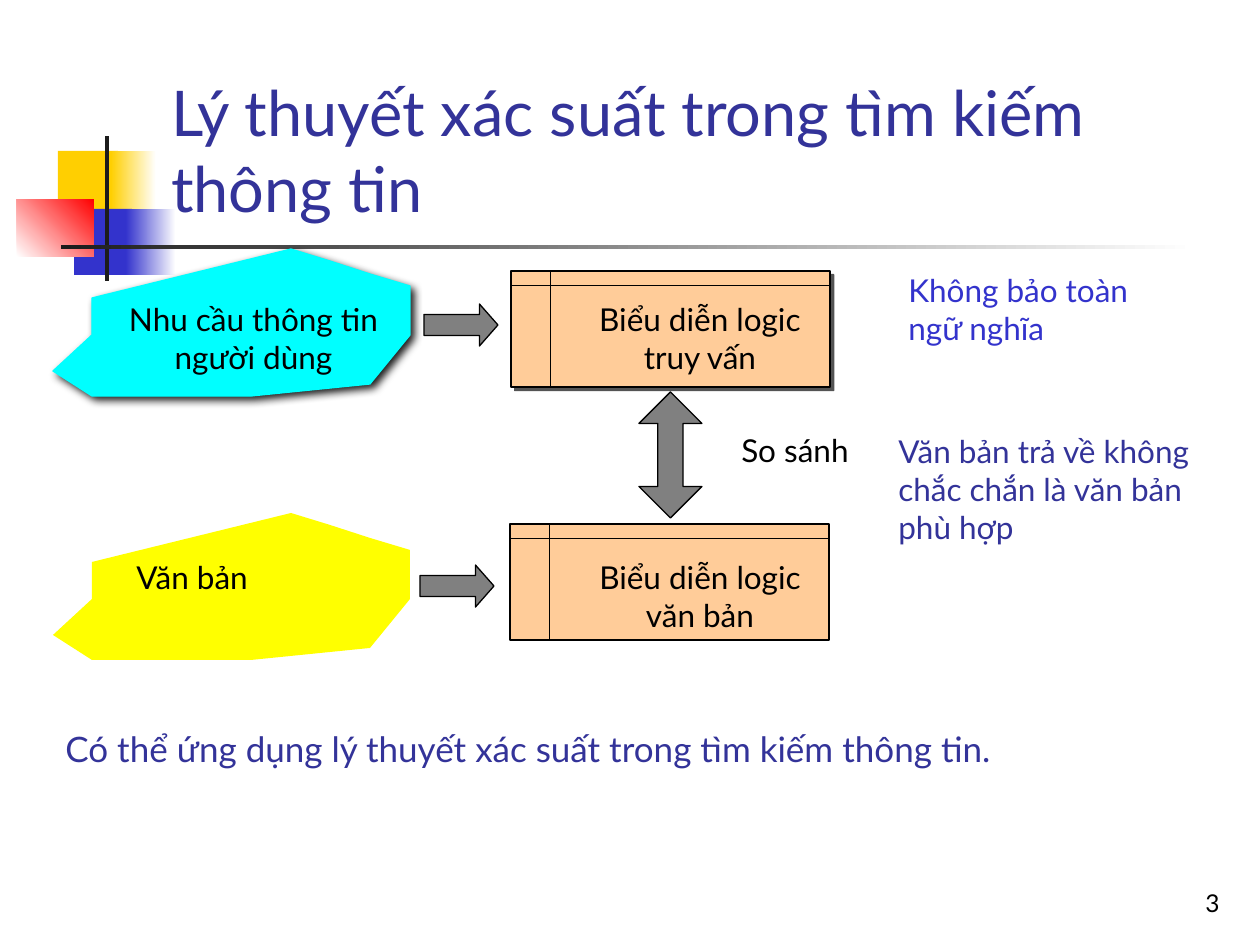
from lxml.etree import SubElement
from pptx import Presentation
from pptx.dml.color import RGBColor
from pptx.enum.shapes import MSO_SHAPE as SHAPE
from pptx.enum.text import MSO_ANCHOR as ANCHOR, PP_ALIGN as ALIGN
from pptx.oxml.ns import qn
from pptx.util import Pt

SCALE = 914400 / 126
WHITE = RGBColor(0xFF, 0xFF, 0xFF)
BLACK = RGBColor(0, 0, 0)
DARK = RGBColor(0x1C, 0x1C, 0x1C)
GRAY = RGBColor(0x80, 0x80, 0x80)
GOLD = RGBColor(0xFF, 0xCF, 0x01)
BLUE = RGBColor(0x33, 0x33, 0xCC)
NAVY = RGBColor(0x33, 0x33, 0x99)
RED = RGBColor(0xFF, 0, 0)
CYAN = RGBColor(0, 0xFF, 0xFF)
YELLOW = RGBColor(0xFF, 0xFF, 0)
PEACH = RGBColor(0xFF, 0xCC, 0x99)

DECOR = [
    ((58, 151, 60, 66), (GOLD,), 0),
    ((111, 151, 45, 66), (GOLD, WHITE), 0),
    ((74, 209, 58, 66), (BLUE,), 0),
    ((126, 209, 50, 66), (BLUE, WHITE), 0),
    ((17, 199, 77, 58), (WHITE, RED), 45),
    ((105, 136, 4, 145), (DARK,), 0),
    ((61, 245, 1134, 4), (DARK, WHITE), 0),
]
POINTS = [
    (291, 0), (92, 49), (92, 86), (53, 122), (92, 147), (171, 147),
    (251, 147), (370, 135), (410, 86), (410, 37), (370, 25), (330, 12),
]
CLOUDS = [
    (249, CYAN, CYAN, (DARK, 100, 5, 2.8)),
    (513, YELLOW, None, None),
]
STORE, RIGHT, BOTH = SHAPE.FLOWCHART_INTERNAL_STORAGE, SHAPE.RIGHT_ARROW, SHAPE.UP_DOWN_ARROW
NODES = [
    (STORE, (510, 524, 319, 116), PEACH, (), None),
    (STORE, (511, 271, 319, 116), PEACH, (), (DARK, 75, 0, 3)),
    (RIGHT, (424, 304, 74, 42), GRAY, (0.5, 0.44), None),
    (RIGHT, (420, 565, 74, 42), GRAY, (0.5, 0.44), None),
    (BOTH, (639, 392, 63, 126), GRAY, (0.5, 0.4), None),
]
LEFT, MID, END, JUST = ALIGN.LEFT, ALIGN.CENTER, ALIGN.RIGHT, ALIGN.JUSTIFY
TOP, LOW = ANCHOR.TOP, ANCHOR.BOTTOM
TEXTS = [
    ("Lý thuyết xác suất trong tìm kiếm thông tin", (159, 29, 1074, 202), 36, NAVY, LEFT, LOW),
    ("Văn bản trả về không chắc chắn là văn bản phù hợp", (886, 426, 341, 127), 18, NAVY, LEFT, TOP),
    ("Không bảo toàn ngữ nghĩa", (896, 265, 300, 89), 18, BLUE, LEFT, TOP),
    ("Nhu cầu thông tin người dùng", (105, 294, 297, 88), 18, BLACK, MID, TOP),
    ("Văn bản", (124, 552, 238, 50), 18, BLACK, LEFT, TOP),
    ("Biểu diễn logic truy vấn", (581, 294, 238, 88), 18, BLACK, MID, TOP),
    ("Biểu diễn logic văn bản", (571, 552, 258, 88), 18, BLACK, MID, TOP),
    ("So sánh", (702, 425, 186, 50), 18, BLACK, MID, TOP),
    ("Có thể ứng dụng lý thuyết xác suất trong tìm kiếm thông tin.", (53, 721, 1182, 189), 20, NAVY, JUST, TOP),
    ("3", (970, 861, 262, 63), 14, BLACK, END, LOW),
]


def px(*vals):
    return [round(v * SCALE) for v in vals]


def assign(obj, form):
    for key, val in form.items():
        setattr(obj, key, val)


def paint(shape, hues, edge=None, turn=0):
    shape.shadow.inherit = False
    if len(hues) == 1:
        shape.fill.solid()
        shape.fill.fore_color.rgb = hues[0]
    else:
        shape.fill.gradient()
        shape.fill.gradient_angle = turn
        for stop, hue in zip(shape.fill.gradient_stops, hues):
            stop.color.rgb = hue
    if edge is None:
        shape.line.fill.background()
    else:
        shape.line.color.rgb = edge
        shape.line.width = Pt(0.75)


def shade(shape, hue, alpha, blur, dist):
    node = shape._element.spPr.find(qn("a:effectLst"))
    cast = SubElement(node, qn("a:outerShdw"), blurRad=str(Pt(blur)),
                      dist=str(Pt(dist)), dir="2700000", algn="ctr", rotWithShape="0")
    tone = SubElement(cast, qn("a:srgbClr"), val=str(hue))
    SubElement(tone, qn("a:alpha"), val=str(alpha * 1000))


def write(shapes, text, box, size, hue, align, anchor):
    frame = shapes.add_textbox(*px(*box)).text_frame
    assign(frame, {"word_wrap": True, "vertical_anchor": anchor})
    para = frame.paragraphs[0]
    para.alignment = align
    run = para.add_run()
    run.text = text
    assign(run.font, {"name": "Lato", "size": Pt(size)})
    run.font.color.rgb = hue


def main():
    deck = Presentation()
    wide, high = px(1260, 945)
    assign(deck, {"slide_width": wide, "slide_height": high})
    shapes = deck.slides.add_slide(deck.slide_layouts[6]).shapes

    for box, hues, turn in DECOR:
        paint(shapes.add_shape(SHAPE.RECTANGLE, *px(*box)), hues, turn=turn)

    for top, hue, edge, cast in CLOUDS:
        spots = [(x, top + y) for x, y in POINTS]
        draft = shapes.build_freeform(*spots[0], scale=SCALE)
        draft.add_line_segments(spots[1:], close=True)
        cloud = draft.convert_to_shape()
        paint(cloud, (hue,), edge)
        if cast:
            shade(cloud, *cast)

    for kind, box, hue, bends, cast in NODES:
        node = shapes.add_shape(kind, *px(*box))
        for spot, bend in enumerate(bends):
            node.adjustments[spot] = bend
        paint(node, (hue,), BLACK)
        if cast:
            shade(node, *cast)

    for item in TEXTS:
        write(shapes, *item)

    deck.save("out.pptx")


if __name__ == "__main__":
    main()
